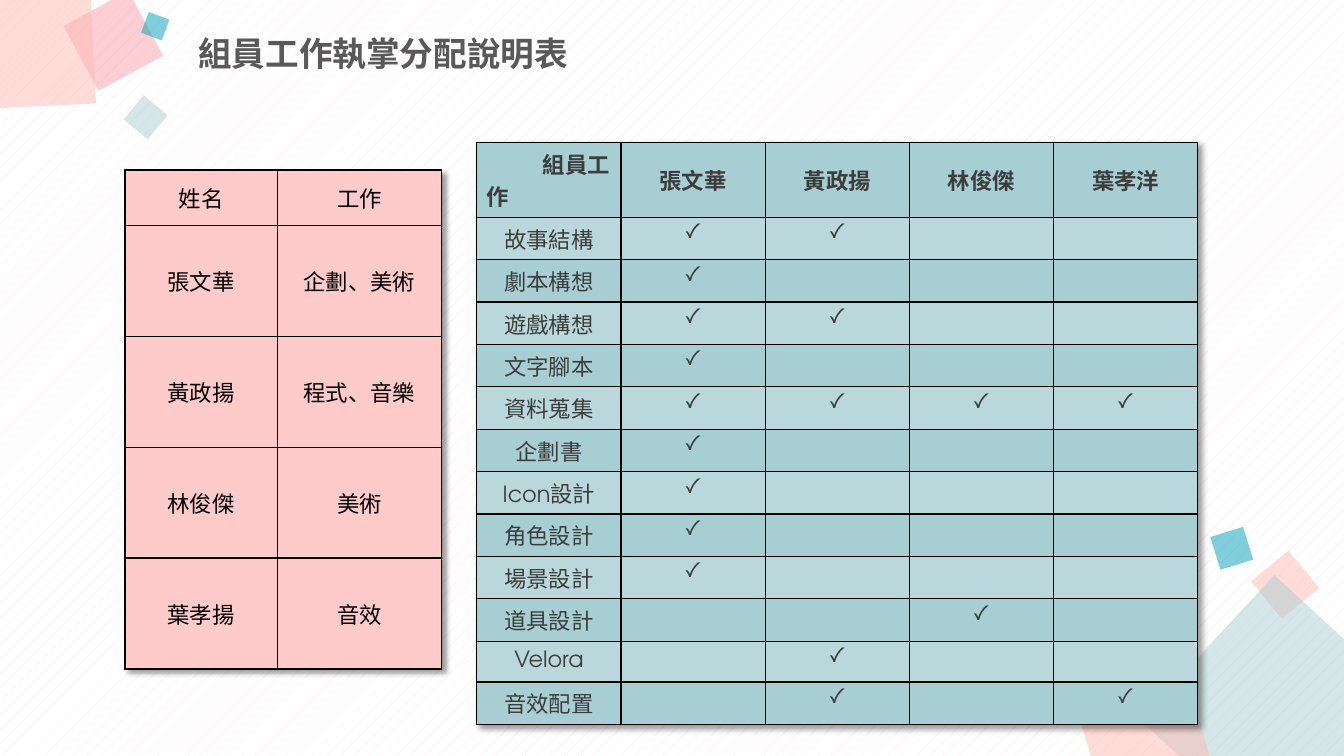
from lxml.etree import SubElement
from pptx import Presentation
from pptx.dml.color import RGBColor
from pptx.enum.dml import MSO_PATTERN
from pptx.enum.shapes import MSO_SHAPE
from pptx.enum.text import MSO_ANCHOR, PP_ALIGN
from pptx.oxml import parse_xml
from pptx.oxml.ns import nsdecls, qn
from pptx.util import Pt

WHITE = RGBColor(0xFF, 0xFF, 0xFF)
BLACK = RGBColor(0, 0, 0)
DOTS = RGBColor(0xF5, 0xE5, 0xE4)
PEACH = RGBColor(0xFF, 0xBB, 0xB3)
PINK = RGBColor(0xFA, 0xA0, 0xAA)
MIST = RGBColor(0xAA, 0xCE, 0xD2)
TEAL = RGBColor(0x00, 0x9F, 0xB8)
ROSE = RGBColor(0xFF, 0xCA, 0xCA)
DARK = RGBColor(0xA7, 0xCE, 0xD2)
LIGHT = RGBColor(0xBA, 0xD8, 0xDB)
INK = RGBColor(0x3D, 0x3D, 0x3D)
GREY = RGBColor(0x59, 0x59, 0x59)
SANS = "Noto Sans CJK SC"
GOTHIC = "TeX Gyre Adventor"

SQUARES = [
    (900.7, 400.3, 34.6, 320.6, PEACH),
    (843.8, 439.9, 141.1, 42.6, MIST),
    (774, 475.9, 81.4, 343.4, PEACH),
    (726.5, 484.6, 20.9, 342.8, PINK),
    (867.6, 379.4, 24.5, 342.8, TEAL),
    (54.7, 2.9, 52.6, 331.6, PINK),
    (-33.1, -23, 99.4, 357.2, PEACH),
    (92.9, 72.7, 22.3, 309.8, MIST),
    (103, 10.8, 15.8, 290.5, TEAL),
]
NAMES = ["張文華", "黃政揚", "林俊傑", "葉孝洋"]
TASKS = [
    ("故事結構", (1, 2)),
    ("劇本構想", (1,)),
    ("遊戲構想", (1, 2)),
    ("文字腳本", (1,)),
    ("資料蒐集", (1, 2, 3, 4)),
    ("企劃書", (1,)),
    ("Icon設計", (1,)),
    ("角色設計", (1,)),
    ("場景設計", (1,)),
    ("道具設計", (3,)),
    ("Velora", (2,)),
    ("音效配置", (2, 4)),
]
ROLES = [
    ("姓名", "工作"),
    ("張文華", "企劃、美術"),
    ("黃政揚", "程式、音樂"),
    ("林俊傑", "美術"),
    ("葉孝揚", "音效"),
]


def style(para, size, name, color, bold=False):
    font = para.font
    font.size, font.name, font.bold = Pt(size), name, bold
    font.color.rgb = color
    base = para._p.pPr.find(qn("a:defRPr"))
    SubElement(base, qn("a:ea")).set("typeface", SANS)


def add_square(slide, left, top, side, turn, color):
    box = slide.shapes.add_shape(
        MSO_SHAPE.RECTANGLE, Pt(left), Pt(top), Pt(side), Pt(side))
    box.rotation = turn
    box.shadow.inherit = False
    box.line.fill.background()
    box.fill.solid()
    box.fill.fore_color.rgb = color
    tint = box.fill._xPr.find(".//" + qn("a:srgbClr"))
    SubElement(tint, qn("a:alpha")).set("val", "50000")


def add_title(slide, text):
    box = slide.shapes.add_textbox(Pt(134.6), Pt(18.7), Pt(441.4), Pt(41.8))
    frame = box.text_frame
    frame.word_wrap = True
    frame.vertical_anchor = MSO_ANCHOR.MIDDLE
    para = frame.paragraphs[0]
    para.text = text
    para.line_spacing = 0.9
    para.space_before = Pt(10)
    style(para, 24, SANS, GREY, True)


def add_grid(slide, left, top, cols, rows):
    frame = slide.shapes.add_table(
        len(rows), len(cols), Pt(left), Pt(top), Pt(sum(cols)), Pt(sum(rows)))
    table = frame.table
    table.first_row = table.horz_banding = False
    for col, width in zip(table.columns, cols):
        col.width = Pt(width)
    for row, height in zip(table.rows, rows):
        row.height = Pt(height)
    table._tbl.tblPr.insert(0, parse_xml(
        f'<a:effectLst {nsdecls("a")}><a:outerShdw blurRad="50800" '
        'dist="38100" dir="2700000" algn="tl" rotWithShape="0">'
        '<a:srgbClr val="000000"><a:alpha val="40000"/></a:srgbClr>'
        '</a:outerShdw></a:effectLst>'))
    return table


def fill_cell(cell, text, fill, color, bold=False, anchor=MSO_ANCHOR.MIDDLE):
    props = cell._tc.get_or_add_tcPr()
    for side in ("lnL", "lnR", "lnT", "lnB"):
        props.append(parse_xml(
            f'<a:{side} {nsdecls("a")} w="{Pt(1)}"><a:solidFill>'
            f'<a:srgbClr val="{BLACK}"/></a:solidFill></a:{side}>'))
    cell.fill.solid()
    cell.fill.fore_color.rgb = fill
    cell.vertical_anchor = anchor
    para = cell.text_frame.paragraphs[0]
    if text:
        para.text = text
    para.alignment = PP_ALIGN.CENTER
    style(para, 16, GOTHIC, color, bold)


def add_tasks(slide):
    table = add_grid(slide, 340.6, 101.9, [103] * 5, [45.7] + [29.2] * 12)
    for col, name in enumerate(["組員工作"] + NAMES):
        fill_cell(table.cell(0, col), name, DARK, INK, True)
    para = table.cell(0, 0).text_frame.paragraphs[0]
    para.alignment = PP_ALIGN.LEFT
    para._p.pPr.set("indent", str(Pt(40)))
    for row, (task, marks) in enumerate(TASKS, 1):
        fill = LIGHT if row % 2 else DARK
        fill_cell(table.cell(row, 0), task, fill, INK)
        for col in range(1, 5):
            mark = "✓" if col in marks else ""
            fill_cell(table.cell(row, col), mark, fill, INK,
                      anchor=MSO_ANCHOR.TOP)


def add_roles(slide):
    table = add_grid(slide, 89.3, 121.4, [108.7, 117.4], [39.6] + [79.2] * 4)
    for row, texts in enumerate(ROLES):
        for col, text in enumerate(texts):
            fill_cell(table.cell(row, col), text, ROSE, BLACK)


def main():
    deck = Presentation()
    deck.slide_width, deck.slide_height = Pt(960), Pt(540)
    slide = deck.slides.add_slide(deck.slide_layouts[6])
    back = slide.background.fill
    back.patterned()
    back.pattern = MSO_PATTERN.PERCENT_5
    back.fore_color.rgb = DOTS
    back.back_color.rgb = WHITE
    for square in SQUARES:
        add_square(slide, *square)
    add_tasks(slide)
    add_title(slide, "組員工作執掌分配說明表")
    add_roles(slide)
    deck.save("out.pptx")


if __name__ == "__main__":
    main()
